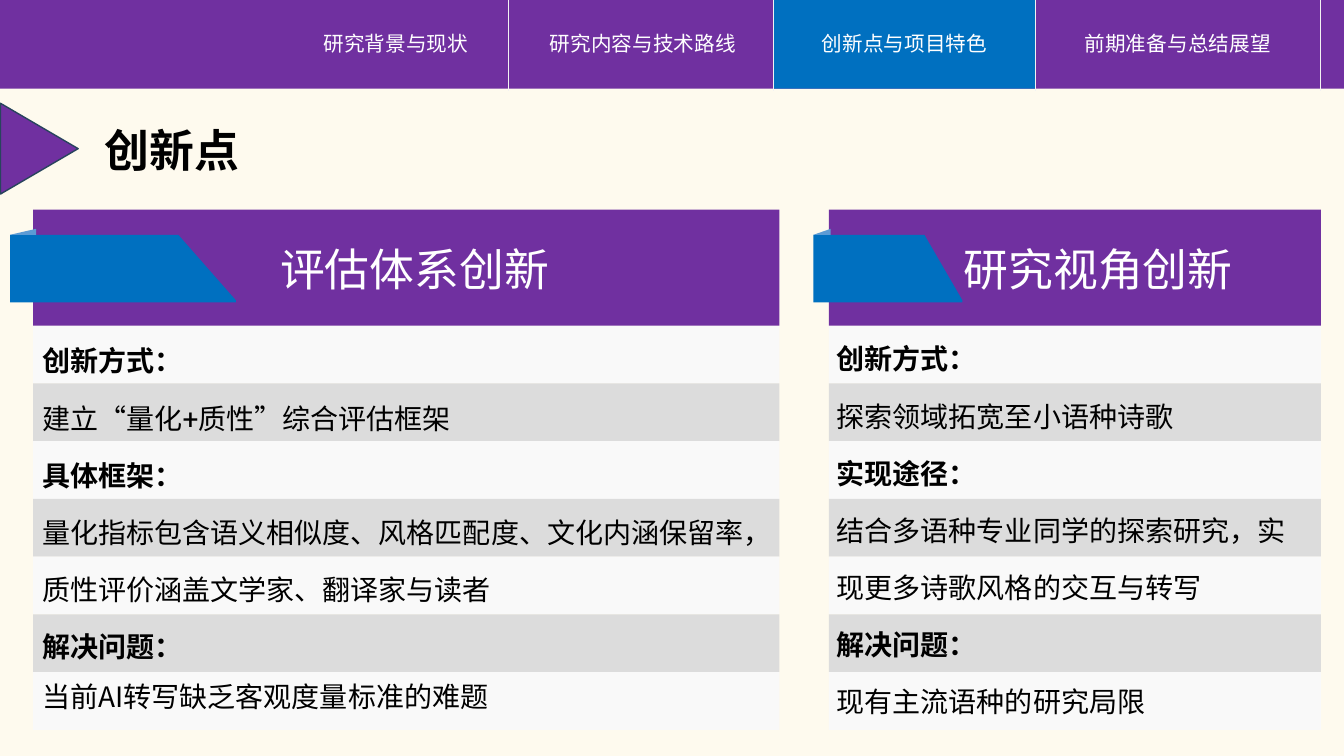
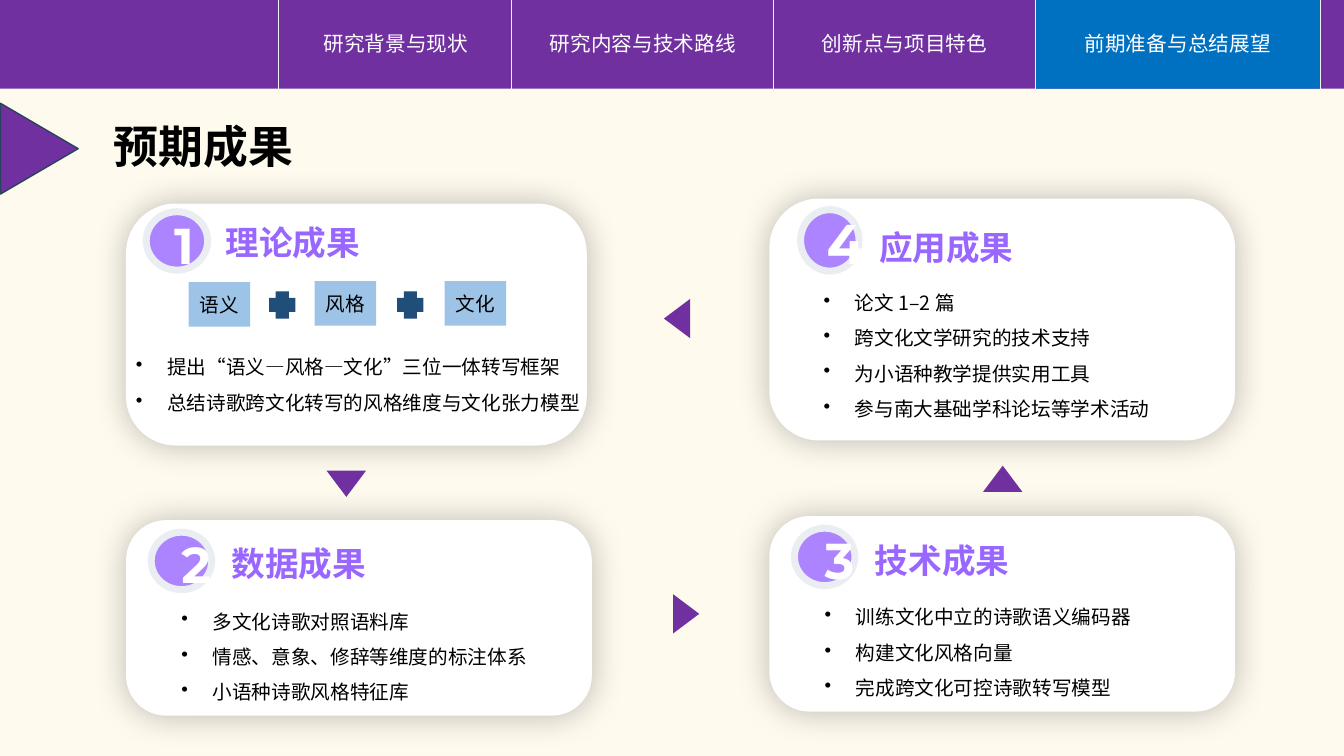
from dataclasses import dataclass

from lxml import etree
from pptx import Presentation
from pptx.dml.color import RGBColor
from pptx.enum.lang import MSO_LANGUAGE_ID as Lang
from pptx.enum.shapes import MSO_CONNECTOR as Connector, MSO_SHAPE as Shape
from pptx.enum.text import MSO_ANCHOR as Anchor, MSO_AUTO_SIZE as AutoSize, PP_ALIGN as Align
from pptx.oxml.ns import qn
from pptx.util import Inches, Pt


@dataclass(frozen=True)
class Theme:
    """Colours, fonts and type sizes shared by the slides."""
    cream: str = "FEFAEE"
    purple: str = "7030A0"
    blue: str = "0070C0"
    fold: str = "5B9BD5"
    divider: str = "F2F2F2"
    marker_edge: str = "28445D"
    stripes: tuple = ("F9F9F9", "DCDCDC")
    violet: str = "9966FF"
    badge_edge: str = "EAEEF2"
    chip: str = "9DC3E6"
    plus: str = "1F4E79"
    white: str = "FFFFFF"
    black: str = "000000"
    cjk: str = "Noto Sans CJK SC"
    body: str = "Roboto"
    digit: str = "Montserrat"
    title_size: float = 32
    heading_size: float = 24
    body_size: float = 20
    list_size: float = 14
    nav_size: float = 14.7
    digit_size: float = 36


T = Theme()

NAV = [("研究背景与现状", 3.01, 1.83), ("研究内容与技术路线", 5.33, 2.09),
       ("创新点与项目特色", 7.99, 1.96), ("前期准备与总结展望", 10.64, 2.08)]
NAV_EDGES = [7.67, 10.27, 13.1]
BAND_HEIGHT = 0.88

PANELS = [
    dict(left=0.33, width=7.4, title="评估体系创新", title_box=(2.68, 2.35, 4.94, 0.64),
         body_box=(0.32, 3.13, 7.41, 4.36),
         points=[("创新方式：", "建立“量化+质性”综合评估框架"),
                 ("具体框架：", "量化指标包含语义相似度、风格匹配度、文化内涵保留率，"
                  "质性评价涵盖文学家、翻译家与读者"),
                 ("解决问题：", "当前AI转写缺乏客观度量标准的难题")],
         last_spacing=1.5, last_font=T.cjk),
    dict(left=8.22, width=4.88, title="研究视角创新", title_box=(9.46, 2.35, 3.26, 0.64),
         body_box=(8.2, 3.11, 4.92, 4.25),
         points=[("创新方式：", "探索领域拓宽至小语种诗歌"),
                 ("实现途径：", "结合多语种专业同学的探索研究，实现更多诗歌风格的交互与转写"),
                 ("解决问题：", "现有主流语种的研究局限")],
         last_spacing=1.7, last_font=T.body),
]

CARDS = [
    dict(number="1", heading="理论成果", box=(1.25, 2.02, 4.57, 2.4), badge=(1.45, 2.1, 0.61, 0.58),
         digit=(1.63, 2.07), digit_size=T.digit_size, heading_at=(2.14, 2.15), list_box=(1.25, 3.36, 4.62, 0.81),
         points=["提出“语义—风格—文化”三位一体转写框架", "总结诗歌跨文化转写的风格维度与文化张力模型"]),
    dict(number="2", heading="数据成果", box=(1.25, 5.16, 4.62, 1.94), badge=(1.5, 5.28, 0.6, 0.57),
         digit=(1.7, 5.24), digit_size=T.digit_size, heading_at=(2.2, 5.34), list_box=(1.7, 5.88, 4, 1.12),
         points=["多文化诗歌对照语料库", "情感、意象、修辞等维度的标注体系", "小语种诗歌风格特征库"]),
    dict(number="3", heading="技术成果", box=(7.63, 5.12, 4.62, 1.94), badge=(7.88, 5.24, 0.6, 0.57),
         digit=(8.08, 5.2), digit_size=T.digit_size, heading_at=(8.58, 5.31), list_box=(8.08, 5.84, 4, 1.16),
         points=["训练文化中立的诗歌语义编码器", "构建文化风格向量", "完成跨文化可控诗歌转写模型"]),
    dict(number="4", heading="应用成果", box=(7.63, 1.97, 4.62, 2.4), badge=(7.94, 2.08, 0.58, 0.61),
         digit=(8.1, 2.02), digit_size=40, heading_at=(8.62, 2.2), list_box=(8.07, 2.72, 4, 1.51),
         points=["论文 1–2 篇", "跨文化文学研究的技术支持", "为小语种教学提供实用工具",
                 "参与南大基础学科论坛等学术活动"]),
]
CHIPS = [("语义", 1.87, 2.8), ("风格", 3.12, 2.79), ("文化", 4.41, 2.79)]
PLUS_LEFTS = [2.67, 3.94]
FLOW_ARROWS = [(3.43, 4.8, 180), (6.8, 6.09, 90), (9.94, 4.75, 0), (6.71, 3.16, 270)]


def rgb(colour):
    """Return a colour object for a hex string."""
    return RGBColor.from_string(colour)


def paint(shape, fill, edge=None, edge_width=1):
    """Give a shape a flat fill, an optional edge and no shadow."""
    shape.shadow.inherit = False
    shape.fill.solid()
    shape.fill.fore_color.rgb = rgb(fill)
    if edge:
        shape.line.color.rgb = rgb(edge)
        shape.line.width = Pt(edge_width)
    else:
        shape.line.fill.background()
    return shape


def add_block(slide, kind, box, fill, **edge):
    """Add a flat preset shape."""
    return paint(slide.shapes.add_shape(kind, *map(Inches, box)), fill, **edge)


def add_alpha(colour_node, percent):
    """Make a colour element partly transparent."""
    etree.SubElement(colour_node, qn("a:alpha"), val=str(percent * 1000))


def write(paragraph, text, size, colour, bold=False, font=T.cjk, align=Align.LEFT, spacing=None):
    """Add one formatted run to a paragraph."""
    paragraph.alignment = align
    if spacing:
        paragraph.line_spacing = spacing
    run = paragraph.add_run()
    run.text = text
    run.font.size, run.font.bold, run.font.name = Pt(size), bold, font
    run.font.color.rgb = rgb(colour)
    run.font.language_id = Lang.SIMPLIFIED_CHINESE
    latin = run.font._element.find(qn("a:latin"))
    latin.addnext(etree.Element(qn("a:ea"), typeface=T.cjk))


def add_frame(slide, box):
    """Add a wrapping text box and return its text frame."""
    frame = slide.shapes.add_textbox(*map(Inches, box)).text_frame
    frame.word_wrap = True
    return frame


def add_label(slide, box, text, size, colour, **style):
    """Add a single-paragraph text box."""
    write(add_frame(slide, box).paragraphs[0], text, size, colour, **style)


def next_paragraph(frame, index):
    """Return the first paragraph, or a new one after it."""
    return frame.add_paragraph() if index else frame.paragraphs[0]


def add_divider(slide, x):
    """Draw a thin vertical rule across the navigation band."""
    rule = slide.shapes.add_connector(Connector.STRAIGHT, Inches(x), Inches(0), Inches(x), Inches(0.9))
    rule.line.color.rgb = rgb(T.divider)
    rule.line.width = Pt(0.75)
    etree.SubElement(rule._element.spPr, qn("a:effectLst"))


def start_slide(prs, title, title_at, active, extra_edges):
    """Add a slide with its navigation band, marker and title."""
    slide = prs.slides.add_slide(prs.slide_layouts[5])
    add_block(slide, Shape.RECTANGLE, (0, 0, 13.33, BAND_HEIGHT), T.purple)
    left, right = active
    add_block(slide, Shape.RECTANGLE, (left, 0, right - left, BAND_HEIGHT), T.blue)
    for section, x, width in NAV:
        add_label(slide, (x, 0.26, width, 0.35), section, T.nav_size, T.white, align=Align.CENTER)
    for x in NAV_EDGES + extra_edges:
        add_divider(slide, x)
    marker = add_block(slide, Shape.ISOSCELES_TRIANGLE, (-0.06, 1.09, 0.9, 0.77), T.purple, edge=T.marker_edge)
    marker.rotation = 90
    heading = slide.shapes.title
    heading.left, heading.top = map(Inches, title_at)
    heading.width, heading.height = Inches(2.91), Inches(0.64)
    frame = heading.text_frame
    frame.auto_size, frame.vertical_anchor = AutoSize.NONE, Anchor.TOP
    write(frame.paragraphs[0], title, T.title_size, T.black, bold=True)
    return slide


def add_ribbon(slide, left, scale):
    """Draw the folded ribbon that overhangs a panel header."""
    top, bottom, width = 2.33, 3, 2.24 * scale
    notch = left + 0.745 * width
    corners = [(left, bottom), (left + width, bottom), (left + width, bottom - 0.02), (notch, top), (left, top)]
    points = [(Inches(x), Inches(y)) for x, y in corners]
    outline = slide.shapes.build_freeform(*points[0])
    outline.add_line_segments(points[1:], close=True)
    paint(outline.convert_to_shape(), T.blue)
    fold = add_block(slide, Shape.RIGHT_TRIANGLE, (left, top - 0.06, 0.26 * scale, 0.06), T.fold)
    fold._element.spPr.xfrm.set("flipH", "1")


def add_panel(slide, panel):
    """Build a striped panel with header, ribbon and text."""
    left, width = panel["left"], panel["width"]
    first_row, row_height = 3.23, 4.01 / 7
    for row in range(7):
        add_block(slide, Shape.RECTANGLE, (left, first_row + row * row_height, width, row_height),
                  T.stripes[row % 2])
    add_block(slide, Shape.RECTANGLE, (left, 2.08, width, 1.15), T.purple)
    scale = width / PANELS[0]["width"]
    add_ribbon(slide, left - 0.23 * scale, scale)
    add_label(slide, panel["title_box"], panel["title"], T.title_size, T.white)
    frame = add_frame(slide, panel["body_box"])
    lines = [(text, bold) for point in panel["points"] for text, bold in zip(point, (True, False))]
    for index, (text, bold) in enumerate(lines):
        last = index == len(lines) - 1
        write(next_paragraph(frame, index), text, T.body_size, T.black, bold=bold,
              font=panel["last_font"] if last else T.body,
              spacing=panel["last_spacing"] if last else 1.7)


def add_bullets(slide, box, points):
    """Add a bulleted list."""
    frame = add_frame(slide, box)
    for index, text in enumerate(points):
        paragraph = next_paragraph(frame, index)
        props = paragraph._p.get_or_add_pPr()
        props.set("marL", str(Inches(0.31)))
        props.set("indent", str(-Inches(0.31)))
        etree.SubElement(props, qn("a:buChar"), char="•")
        write(paragraph, text, T.list_size, T.black, spacing=1.5)


def add_card(slide, card):
    """Build a numbered result card."""
    base = add_block(slide, Shape.ROUNDED_RECTANGLE, card["box"], T.white)
    base.adjustments[0] = 0.205
    effects = base._element.spPr.find(qn("a:effectLst"))
    glow = etree.SubElement(effects, qn("a:outerShdw"), blurRad=str(Pt(24)), dist="0", dir="0",
                            algn="ctr", rotWithShape="0")
    add_alpha(etree.SubElement(glow, qn("a:srgbClr"), val=T.black), 25)
    badge = add_block(slide, Shape.OVAL, card["badge"], T.violet, edge=T.badge_edge, edge_width=5)
    add_alpha(badge._element.spPr.find(qn("a:solidFill"))[0], 80)
    add_label(slide, (*card["digit"], 0.6, 0.71), card["number"], card["digit_size"], T.white,
              bold=True, font=T.digit)
    add_label(slide, (*card["heading_at"], 2.73, 0.5), card["heading"], T.heading_size, T.violet, bold=True)
    add_bullets(slide, card["list_box"], card["points"])


def add_formula(slide):
    """Draw the three chips joined by plus signs."""
    for text, x, y in CHIPS:
        chip = add_block(slide, Shape.RECTANGLE, (x, y, 0.61, 0.44), T.chip)
        chip.text_frame.vertical_anchor = Anchor.MIDDLE
        write(chip.text_frame.paragraphs[0], text, T.list_size, T.black, align=Align.CENTER)
    for x in PLUS_LEFTS:
        add_block(slide, Shape.CROSS, (x, 2.89, 0.26, 0.27), T.plus)


def main():
    """Build and save the presentation."""
    prs = Presentation()
    prs.slide_width, prs.slide_height = Inches(13.33), Inches(7.5)
    backdrop = prs.slide_master.background.fill
    backdrop.solid()
    backdrop.fore_color.rgb = rgb(T.cream)

    innovation = start_slide(prs, "创新点", (0.94, 1.17), (7.67, 10.27), [5.04])
    for panel in PANELS:
        add_panel(innovation, panel)

    results = start_slide(prs, "预期成果", (1.03, 1.13), (10.27, 13.1), [5.07, 2.76])
    for card in CARDS:
        add_card(results, card)
    add_formula(results)
    for x, y, angle in FLOW_ARROWS:
        arrow = add_block(results, Shape.ISOSCELES_TRIANGLE, (x - 0.19, y - 0.13, 0.39, 0.26), T.purple)
        arrow.rotation = angle
    prs.save("out.pptx")


if __name__ == "__main__":
    main()
